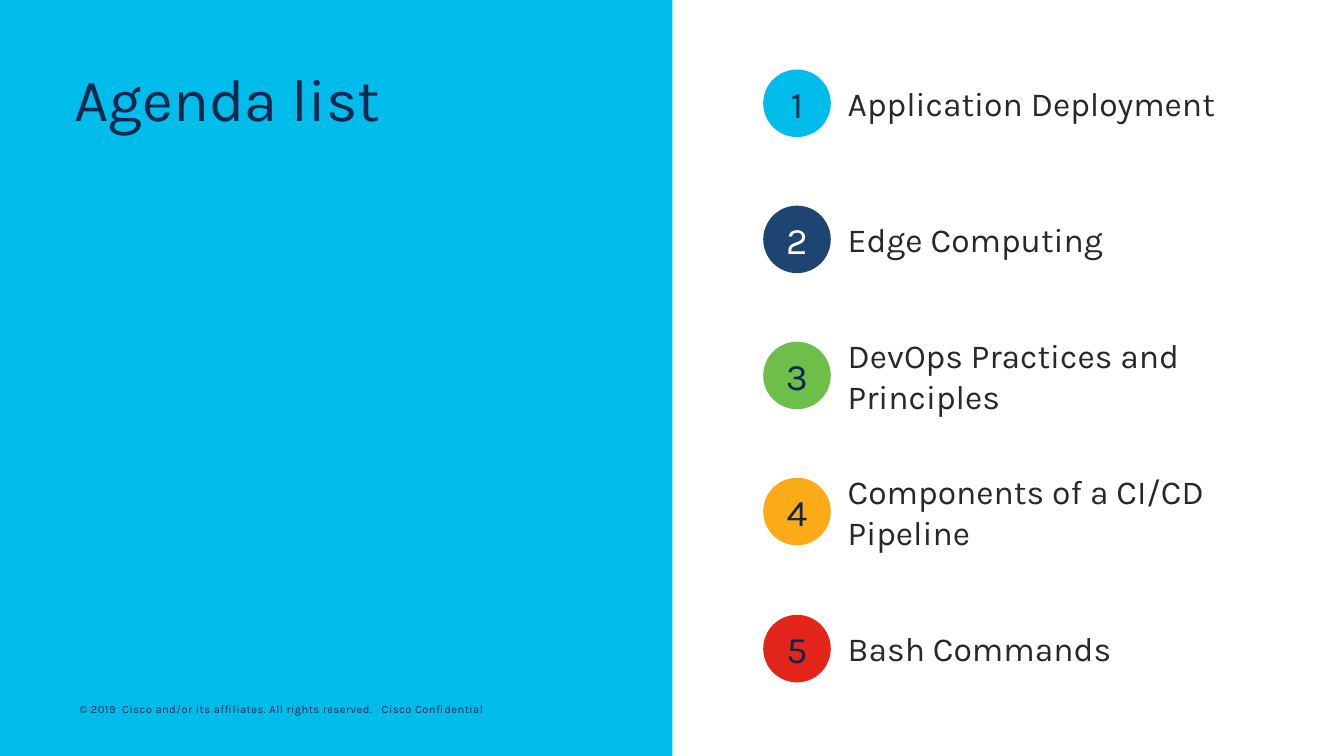
from pptx import Presentation
from pptx.dml.color import RGBColor
from pptx.enum.shapes import MSO_SHAPE
from pptx.enum.text import MSO_ANCHOR, MSO_AUTO_SIZE, PP_ALIGN
from pptx.util import Emu, Pt

RECT, OVAL = MSO_SHAPE.RECTANGLE, MSO_SHAPE.OVAL
MIDDLE, BOTTOM = MSO_ANCHOR.MIDDLE, MSO_ANCHOR.BOTTOM
LEFT, CENTER = PP_ALIGN.LEFT, PP_ALIGN.CENTER
FIXED, GROW = MSO_AUTO_SIZE.NONE, MSO_AUTO_SIZE.SHAPE_TO_FIT_TEXT

FONT = "Karla"
SCALE = 9144  # EMU per px, 100 px to the inch
COLORS = {
    "sky": "00BCEB", "blue": "1E4471", "green": "6EBE4A",
    "amber": "FBAB18", "red": "E3241B",
    "navy": "0D274D", "ink": "282828", "white": "FFFFFF",
}

# Label, number of lines, dot colour, digit colour
AGENDA = [
    ("Application Deployment", 1, "sky", "navy"),
    ("Edge Computing", 1, "blue", "white"),
    ("DevOps Practices and Principles", 2, "green", "navy"),
    ("Components of a CI/CD Pipeline", 2, "amber", "navy"),
    ("Bash Commands", 1, "red", "navy"),
]
HEIGHTS = {1: 50, 2: 91}
DOT, TOP, SPAN = 67, 69, 541  # dot size, first top, first to last


def px(n):
    return Emu(n * SCALE)


def rgb(name):
    return RGBColor.from_string(COLORS[name])


def write(shape, text, size, color, anchor=MIDDLE, align=LEFT, fit=FIXED):
    frame = shape.text_frame
    frame.word_wrap = True
    frame.auto_size = fit
    frame.vertical_anchor = anchor
    line = frame.paragraphs[0]
    line.alignment = align
    run = line.add_run()
    run.text = text
    run.font.name = FONT
    run.font.size = Pt(size)
    run.font.color.rgb = rgb(color)
    return run


def add_shape(slide, kind, x, y, w, h, fill):
    shape = slide.shapes.add_shape(kind, px(x), px(y), px(w), px(h))
    shape.shadow.inherit = False
    shape.fill.solid()
    shape.fill.fore_color.rgb = rgb(fill)
    shape.line.fill.background()
    return shape


def add_label(slide, x, y, w, h, text, size, color, anchor=MIDDLE):
    box = slide.shapes.add_textbox(px(x), px(y), px(w), px(h))
    return box, write(box, text, size, color, anchor, fit=GROW)


def add_title(slide, text):
    title = slide.shapes.title
    title.left, title.top = px(64), px(50)
    title.width, title.height = px(538), px(107)
    write(title, text, 42.7, "navy")
    title.text_frame.paragraphs[0].line_spacing = 0.8
    # Bring the title in front of the panel
    slide.shapes.element.append(title.element)


def add_footer(slide, text):
    box, run = add_label(slide, 70, 691, 520, 23, text, 8, "navy", BOTTOM)
    frame = box.text_frame
    frame.margin_left = frame.margin_right = px(9)
    frame.margin_top = frame.margin_bottom = px(4)
    run.font.element.set("spc", "30") if hasattr(run.font, "element") else \
        run.font._element.set("spc", "30")


def add_item(slide, index, label, lines, fill, color):
    top = TOP + SPAN * index // (len(AGENDA) - 1)
    dot = add_shape(slide, OVAL, 757, top, DOT, DOT, fill)
    write(dot, str(index + 1), 26.7, color, align=CENTER)
    high = HEIGHTS[lines]
    add_label(slide, 831, top + DOT // 2 - high // 2, 387, high,
              label, 24, "ink")


def main():
    deck = Presentation()
    deck.slide_width, deck.slide_height = px(1333), px(750)
    slide = deck.slides.add_slide(deck.slide_layouts[5])

    # Left panel
    add_shape(slide, RECT, -1, 0, 668, 750, "sky")
    add_footer(slide, "© 2019  Cisco and/or its affiliates. "
                      "All rights reserved.   Cisco Confidential")
    add_title(slide, "Agenda list")

    # Numbered agenda
    for index, item in enumerate(AGENDA):
        add_item(slide, index, *item)

    deck.save("out.pptx")


if __name__ == "__main__":
    main()
